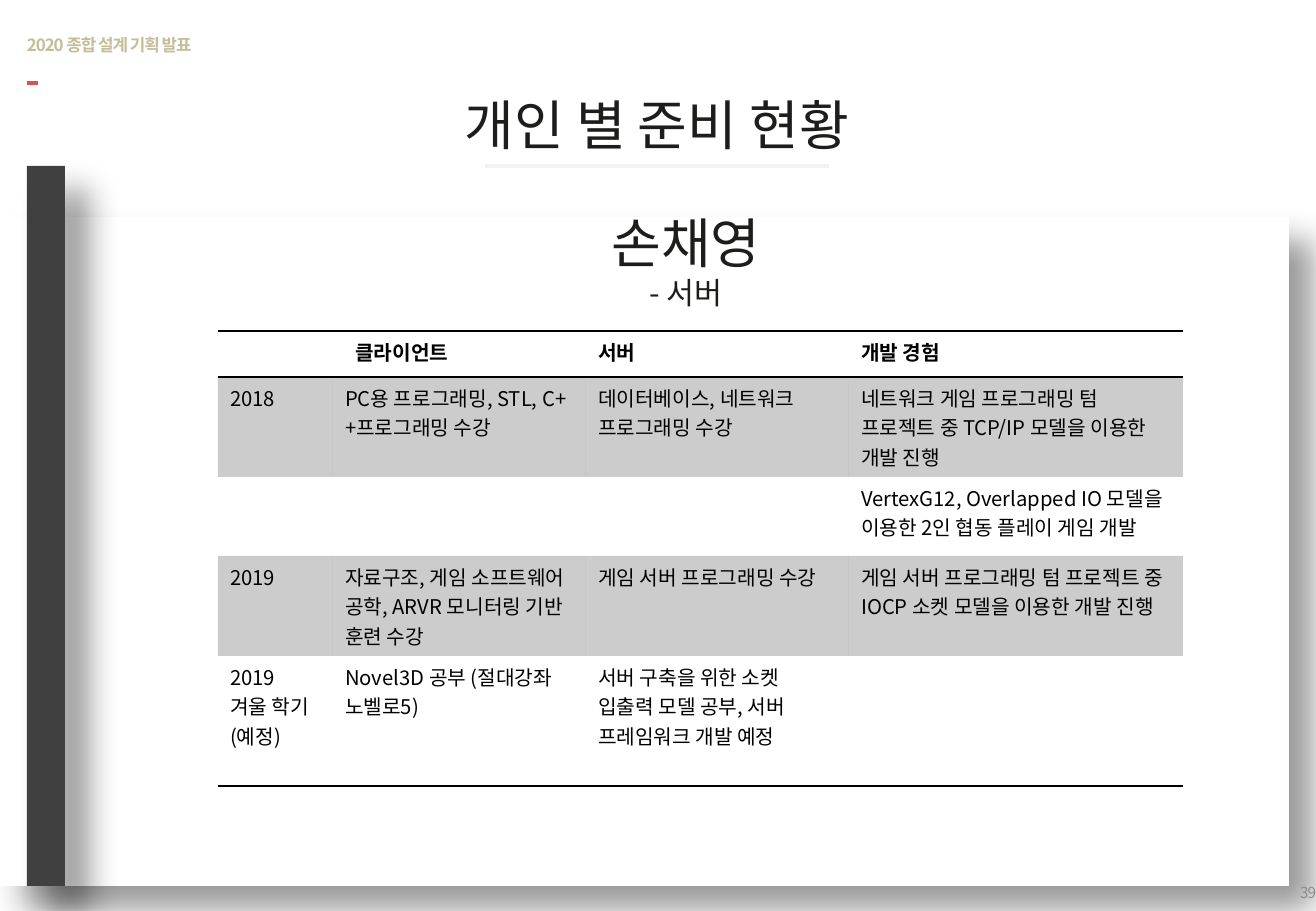
import pptx
import pptx.dml.color
import pptx.enum.shapes
import pptx.enum.text
import pptx.oxml
import pptx.oxml.ns
import pptx.util
from lxml import etree

PX = 7526
ALIGN = pptx.enum.text.PP_ALIGN
THEME = {
    "font": "Noto Sans CJK KR",
    "ink": "1D1D1B", "black": "000000", "white": "FFFFFF", "bar": "404040",
    "rule": "F2F2F2", "accent": "DA5054", "tan": "C4BD97", "gray": "8C8C8C",
    "heading": 32, "role": 18, "cell": 12, "header": 10, "number": 9,
}
NO_STYLE = "{2D5ABB26-0587-4C30-8999-92F81FD0307C}"
COLUMNS = [115, 253, 263, 334]
ROWS = [46, 100, 79, 100, 130]
HEADINGS = ["클라이언트", "", "서버", "개발 경험"]
RECORDS = [
    ["2018", "PC용 프로그래밍, STL, C++프로그래밍 수강",
     "데이터베이스, 네트워크 프로그래밍 수강",
     "네트워크 게임 프로그래밍 텀 프로젝트 중 TCP/IP 모델을 이용한 개발 진행"],
    ["", "", "", "VertexG12, Overlapped IO 모델을 이용한 2인 협동 플레이 게임 개발"],
    ["2019", "자료구조, 게임 소프트웨어 공학, ARVR 모니터링 기반 훈련 수강",
     "게임 서버 프로그래밍 수강",
     "게임 서버 프로그래밍 텀 프로젝트 중 IOCP 소켓 모델을 이용한 개발 진행"],
    ["2019\n겨울 학기 (예정)", "Novel3D 공부 (절대강좌 노벨로5)",
     "서버 구축을 위한 소켓 입출력 모델 공부, 서버 프레임워크 개발 예정", ""],
]


def px(*lengths):
    """Turn whole pixels into EMU."""
    return [length * PX for length in lengths]


def rgb(name):
    """Look up a theme colour."""
    return pptx.dml.color.RGBColor.from_string(THEME[name])


def child(parent, tag, **attributes):
    """Append a DrawingML element."""
    element = etree.SubElement(parent, pptx.oxml.ns.qn(tag))
    for key, value in attributes.items():
        element.set(key, str(value))
    return element


def apply(target, values):
    """Set attributes from a dict of format values."""
    for key, value in values.items():
        setattr(target, key, value)


def write(paragraph, text, size, color, bold=False, tight=False):
    """Add a run in the theme font."""
    run = paragraph.add_run()
    run.text = text
    apply(run.font, {"size": pptx.util.Pt(THEME[size]), "bold": bold, "name": THEME["font"]})
    run.font.color.rgb = rgb(color)
    properties = run.font._element
    child(properties, "a:ea", typeface=THEME["font"])
    if tight:
        properties.set("spc", "-60")


def frame(shape, inset):
    """Prepare a wrapped, vertically centred text frame and return its paragraph."""
    text = shape.text_frame
    apply(text, {"word_wrap": True, "vertical_anchor": pptx.enum.text.MSO_ANCHOR.MIDDLE})
    if not inset:
        apply(text, dict.fromkeys(
            ["margin_left", "margin_right", "margin_top", "margin_bottom"], 0))
    return text.paragraphs[0]


def rule(slide, left, top, width, color, weight):
    """Draw a flat horizontal line."""
    line = slide.shapes.add_connector(
        pptx.enum.shapes.MSO_CONNECTOR.STRAIGHT, *px(left, top, left + width, top))
    line.line.color.rgb = rgb(color)
    line.line.width = pptx.util.Pt(weight)
    child(line._element.spPr, "a:effectLst")


def panel(slide, box, color):
    """Draw a borderless rectangle with a soft diagonal shadow."""
    shape = slide.shapes.add_shape(pptx.enum.shapes.MSO_SHAPE.RECTANGLE, *px(*box))
    shape.fill.solid()
    shape.fill.fore_color.rgb = rgb(color)
    shape.line.fill.background()
    shape.shadow.inherit = False
    effects = shape._element.spPr.find(pptx.oxml.ns.qn("a:effectLst"))
    shadow = child(effects, "a:outerShdw", blurRad=pptx.util.Pt(19), dist=pptx.util.Pt(20),
                   dir=45 * 60000, algn="tl", rotWithShape=0)
    child(child(shadow, "a:srgbClr", val=THEME["black"]), "a:alpha", val=40000)


def header(slide, box):
    """Place the deck title with its accent dash."""
    left, top, width, height = box
    title = slide.shapes.title
    apply(title, dict(zip(["left", "top", "width", "height"], px(*box))))
    paragraph = frame(title, False)
    paragraph.alignment = ALIGN.LEFT
    write(paragraph, "2020 종합 설계 기획 발표", "header", "tan", True, True)
    rule(slide, left, top + height + 10, 11, "accent", 2)


def heading(slide, box, lines):
    """Place a centred heading whose lines have their own sizes."""
    paragraph = frame(slide.shapes.add_textbox(*px(*box)), True)
    apply(paragraph, {"alignment": ALIGN.CENTER, "space_after": pptx.util.Pt(3)})
    for index, (text, size) in enumerate(lines):
        if index:
            paragraph.add_line_break()
        write(paragraph, text, size, "ink")


def page_number(slide, box, number):
    """Place the page number."""
    paragraph = frame(slide.shapes.add_textbox(*px(*box)), False)
    paragraph.alignment = ALIGN.RIGHT
    write(paragraph, number, "number", "gray", tight=True)


def border(cell, sides):
    """Rule the given sides of a cell."""
    properties = cell._tc.get_or_add_tcPr()
    for index, side in enumerate(sides):
        line = pptx.oxml.parse_xml(
            f'<a:{side} {pptx.oxml.ns.nsdecls("a")} w="12700"><a:solidFill>'
            f'<a:srgbClr val="{THEME["black"]}"/></a:solidFill></a:{side}>')
        properties.insert(index, line)


def fill_cell(cell, text, is_heading, shaded):
    """Fill a cell with its text and background."""
    for index, line in enumerate(text.split("\n") if text else []):
        paragraphs = cell.text_frame
        paragraph = paragraphs.add_paragraph() if index else paragraphs.paragraphs[0]
        write(paragraph, line, "cell", "black", is_heading)
    if shaded:
        cell.fill.solid()
        cell.fill.fore_color.rgb = rgb("black")
        color = cell._tc.tcPr.find(".//" + pptx.oxml.ns.qn("a:srgbClr"))
        child(color, "a:alpha", val=20000)
    else:
        cell.fill.background()


def preparation_table(slide, left, top):
    """Build the yearly preparation table."""
    table = slide.shapes.add_table(
        len(ROWS), len(COLUMNS), *px(left, top, sum(COLUMNS), sum(ROWS))).table
    apply(table, {"first_row": False, "horz_banding": False})
    table._tbl.tblPr.find(pptx.oxml.ns.qn("a:tableStyleId")).text = NO_STYLE
    for column, width in zip(table.columns, px(*COLUMNS)):
        column.width = width
    for row, height in zip(table.rows, px(*ROWS)):
        row.height = height
    for r, texts in enumerate([HEADINGS] + RECORDS):
        sides = {0: ["lnT", "lnB"], len(RECORDS): ["lnB"]}.get(r, [])
        for c, text in enumerate(texts):
            cell = table.cell(r, c)
            fill_cell(cell, text, r == 0, r % 2 == 1)
            border(cell, sides)
    table.cell(0, 0).merge(table.cell(0, 1))
    table.cell(0, 0).text_frame.paragraphs[0].alignment = ALIGN.CENTER


def preparation_slide(deck):
    """Build the individual preparation slide."""
    slide = deck.slides.add_slide(deck.slide_layouts[5])
    heading(slide, (174, 101, 966, 46), [("개인 별 준비 현황", "heading")])
    rule(slide, 485, 166, 344, "rule", 2.25)
    header(slide, (27, 16, 363, 57))
    panel(slide, (0, 217, 1289, 669), "white")
    panel(slide, (27, 166, 38, 720), "bar")
    page_number(slide, (1261, 873, 55, 38), "39")
    preparation_table(slide, 218, 331)
    heading(slide, (203, 237, 966, 46), [("손채영", "heading"), ("- 서버", "role")])


def main():
    """Create and save the deck."""
    deck = pptx.Presentation()
    deck.slide_width, deck.slide_height = px(1316, 911)
    preparation_slide(deck)
    deck.save("out.pptx")


if __name__ == "__main__":
    main()
